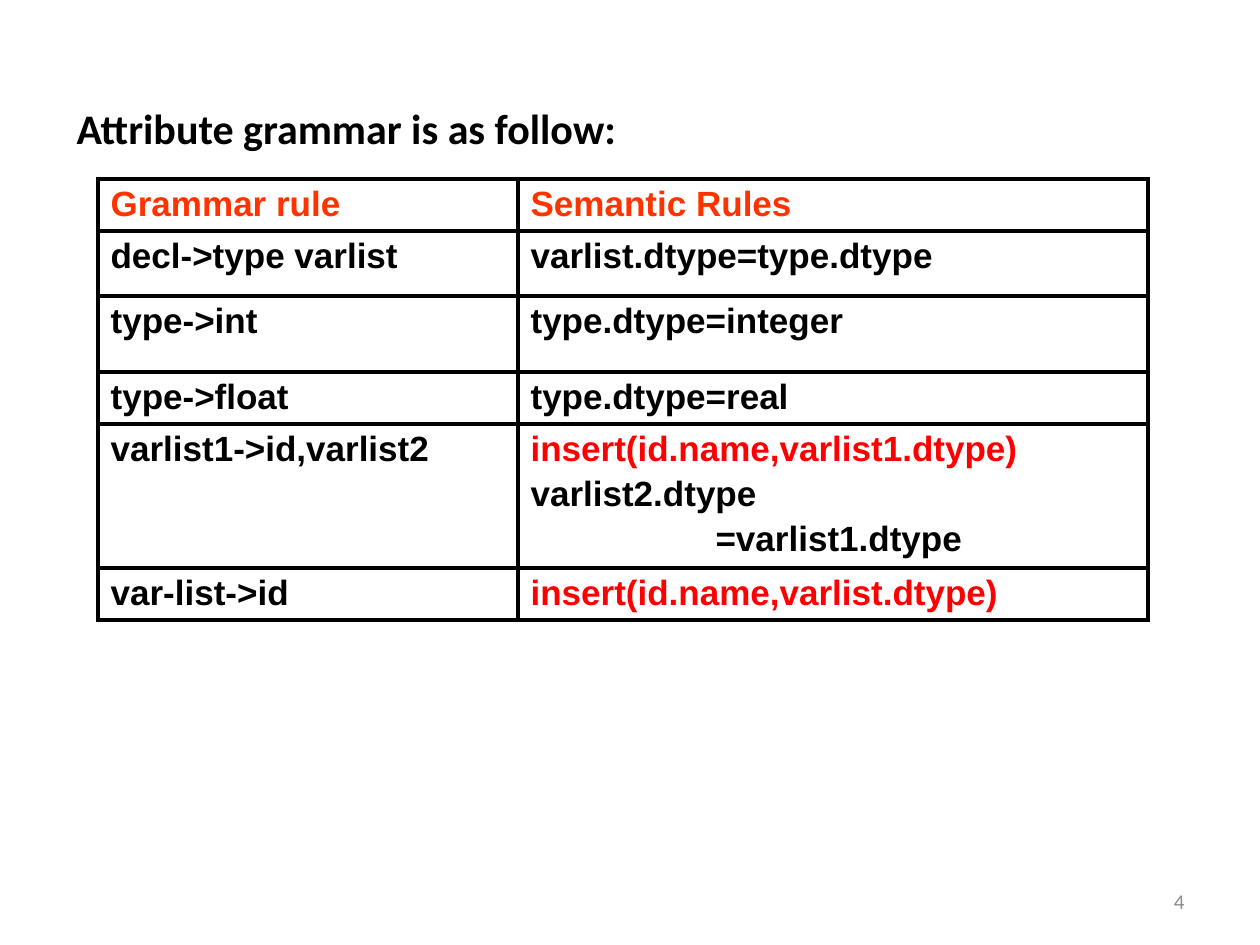
import dataclasses

import pptx
import pptx.dml.color
import pptx.enum.text
import pptx.oxml
import pptx.oxml.ns
import pptx.util

PX = 914400 // 126  # EMU in one px
ALIGN = pptx.enum.text.PP_ALIGN
ANCHOR = pptx.enum.text.MSO_ANCHOR


@dataclasses.dataclass(frozen=True)
class Theme:
    ink: str = "000000"
    heading: str = "FF3300"
    action: str = "FF0000"
    muted: str = "8C8C8C"
    title_font: str = "Calibri"
    table_font: str = "Arial"
    title_size: int = 24
    table_size: int = 20
    number_size: int = 12
    border_pt: float = 2.25
    line_gap: float = 3.2


def px(*lengths):
    return [length * PX for length in lengths]


def write(paragraph, text, *, font, size, color, bold=False,
          align=ALIGN.LEFT, before=0, indent=0):
    """Put formatted text in a paragraph."""
    if indent:
        paragraph._p.get_or_add_pPr().set("marL", str(indent * PX))
    paragraph.alignment = align
    paragraph.space_before = pptx.util.Pt(before)
    run = paragraph.add_run()
    run.text = text
    run.font.name = font
    run.font.size = pptx.util.Pt(size)
    run.font.bold = bold
    run.font.color.rgb = pptx.dml.color.RGBColor.from_string(color)


class SlideBuilder:
    def __init__(self, slide, theme):
        self.slide = slide
        self.theme = theme

    def title(self, text, left, top, width, height):
        heading = self.slide.shapes.title
        heading.left, heading.top, heading.width, heading.height = px(left, top, width, height)
        frame = heading.text_frame
        frame.auto_size = pptx.enum.text.MSO_AUTO_SIZE.NONE
        frame.word_wrap = False
        frame.vertical_anchor = ANCHOR.TOP
        write(frame.paragraphs[0], text, font=self.theme.title_font,
              size=self.theme.title_size, color=self.theme.ink, bold=True)

    def page_number(self, text, left, top, width, height):
        frame = self.slide.shapes.add_textbox(*px(left, top, width, height)).text_frame
        frame.word_wrap = True
        frame.vertical_anchor = ANCHOR.MIDDLE
        write(frame.paragraphs[0], text, font=self.theme.title_font,
              size=self.theme.number_size, color=self.theme.muted, align=ALIGN.RIGHT)

    def table(self, rows, left, top, widths, heights):
        frame = self.slide.shapes.add_table(
            len(rows), len(widths), *px(left, top, sum(widths), sum(heights)))
        grid = frame.table
        grid.first_row = grid.horz_banding = False
        for column, width in zip(grid.columns, px(*widths)):
            column.width = width
        for row, height in zip(grid.rows, px(*heights)):
            row.height = height
        for r, row in enumerate(rows):
            for c, lines in enumerate(row):
                self.cell(grid.cell(r, c), lines)

    def cell(self, cell, lines):
        self.borders(cell)
        cell.fill.background()
        frame = cell.text_frame
        for i, (text, color, indent) in enumerate(lines):
            paragraph = frame.add_paragraph() if i else frame.paragraphs[0]
            write(paragraph, text, font=self.theme.table_font,
                  size=self.theme.table_size, color=color, bold=True,
                  before=self.theme.line_gap if i else 0, indent=indent)

    def borders(self, cell):
        properties = cell._tc.get_or_add_tcPr()
        width = pptx.util.Pt(self.theme.border_pt)
        for side in "LRTB":
            properties.append(pptx.oxml.parse_xml(
                f'<a:ln{side} {pptx.oxml.ns.nsdecls("a")} w="{width}"><a:solidFill>'
                f'<a:srgbClr val="{self.theme.ink}"/></a:solidFill></a:ln{side}>'))


def main():
    theme = Theme()
    deck = pptx.Presentation()
    deck.slide_width, deck.slide_height = px(1260, 945)
    builder = SlideBuilder(deck.slides.add_slide(deck.slide_layouts[5]), theme)

    def line(text, color=theme.ink, indent=0):
        return text, color, indent

    # Grammar rules, each with its semantic rules
    grammar = [
        ([line("Grammar rule", theme.heading)], [line("Semantic Rules", theme.heading)]),
        ([line("decl->type varlist")], [line("varlist.dtype=type.dtype")]),
        ([line("type->int")], [line("type.dtype=integer")]),
        ([line("type->float")], [line("type.dtype=real")]),
        ([line("varlist1->id,varlist2")],
         [line("insert(id.name,varlist1.dtype)", theme.action),
          line("varlist2.dtype"),
          line("=varlist1.dtype", indent=185)]),
        ([line("var-list->id")], [line("insert(id.name,varlist.dtype)", theme.action)]),
    ]
    builder.table(grammar, 98, 179, widths=[420, 630], heights=[52, 65, 76, 52, 144, 52])

    # Title and page number
    builder.title("Attribute grammar is as follow:", 64, 96, 571, 63)
    builder.page_number("4", 903, 876, 294, 50)

    deck.save("out.pptx")


if __name__ == "__main__":
    main()
